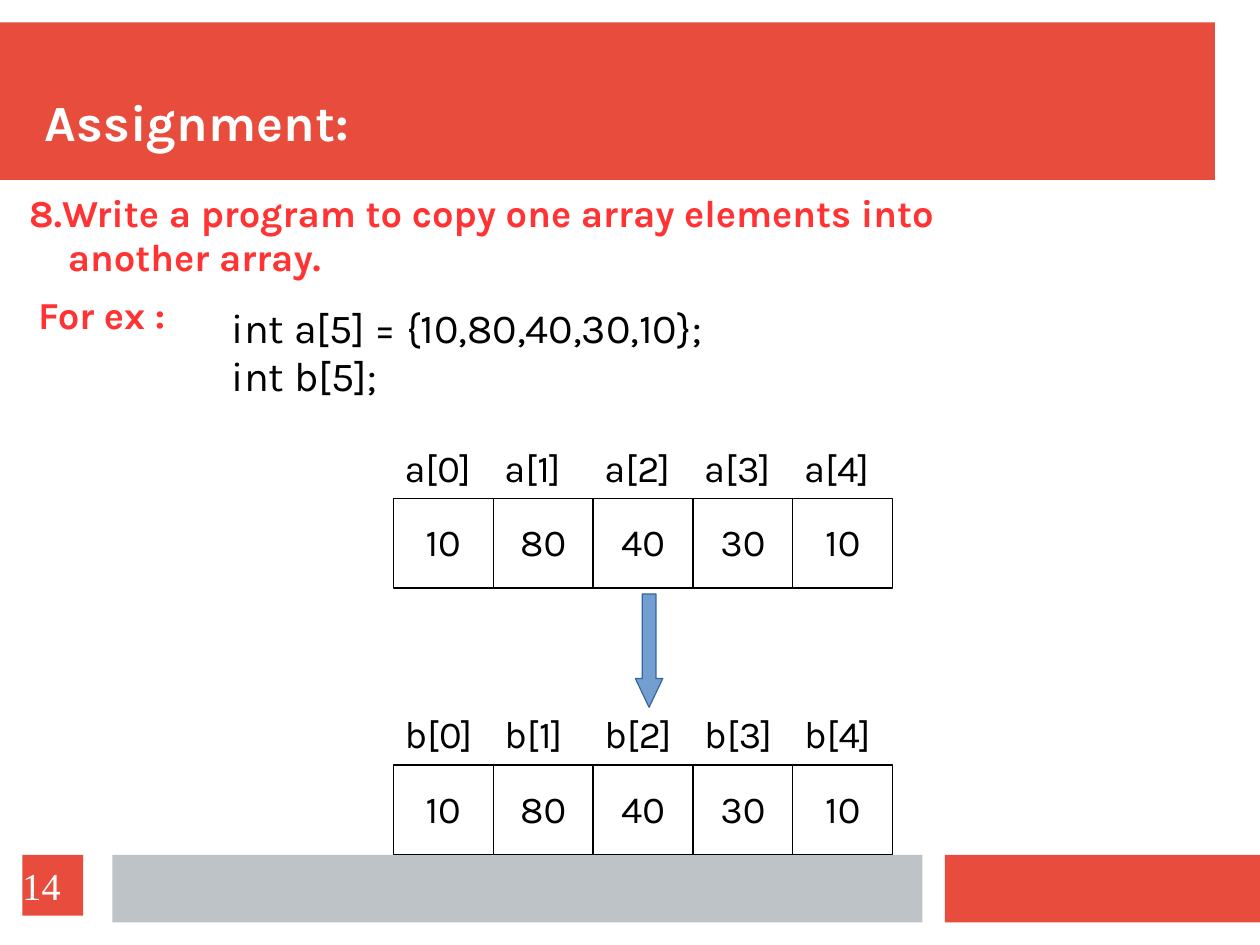
from pptx import Presentation
from pptx.dml.color import RGBColor
from pptx.enum.shapes import MSO_SHAPE as SHAPE
from pptx.enum.text import MSO_ANCHOR as ANCHOR, MSO_AUTO_SIZE as AUTO, PP_ALIGN as ALIGN
from pptx.util import Cm, Pt

COLS, ROWS = 28, 21
RED, GREY, WHITE, BLACK = "E74C3C", "BDC3C7", "FFFFFF", "000000"
QUESTION_RED = "FF3333"
CELL_W, CELL_H, LABEL_H = 2.22, 2, 1.27
ARRAY_LEFT = 8.74
VALUES = [10, 80, 40, 30, 10]


def rgb(color):
    return RGBColor.from_string(color)


def grid(*units):
    return [Cm(u) for u in units]


def write(sp, text, size=24, color=BLACK, bold=False, font="Karla",
          align=ALIGN.LEFT, anchor=ANCHOR.TOP, inset=(0.1, 0.05), spacing=0.97):
    tf = sp.text_frame
    tf.text = text
    tf.auto_size = AUTO.NONE
    tf.word_wrap = True
    tf.vertical_anchor = anchor
    tf.margin_left = tf.margin_right = Pt(inset[0] * 72)
    tf.margin_top = tf.margin_bottom = Pt(inset[1] * 72)
    for p in tf.paragraphs:
        p.alignment = align
        p.line_spacing = spacing
        p.space_before = Pt(0)
        for r in p.runs:
            r.font.size = Pt(size)
            r.font.name = font
            r.font.bold = bold
            r.font.color.rgb = rgb(color)
    return tf


def add_block(slide, box, fill, line=None, kind=SHAPE.RECTANGLE):
    sp = slide.shapes.add_shape(kind, *grid(*box))
    sp.shadow.inherit = False
    sp.fill.solid()
    sp.fill.fore_color.rgb = rgb(fill)
    if line:
        sp.line.color.rgb = rgb(line)
        sp.line.width = Pt(0.75)
    else:
        sp.line.fill.background()
    return sp


def add_text(slide, box, text, **style):
    return write(slide.shapes.add_textbox(*grid(*box)), text, **style)


def add_title(slide, box, text):
    title = slide.shapes.title
    title.left, title.top, title.width, title.height = grid(*box)
    write(title, text, size=32, color=WHITE, bold=True,
          anchor=ANCHOR.BOTTOM, inset=(0, 0))
    slide.shapes._spTree.append(title._element)


def add_array(slide, name, top):
    for i, value in enumerate(VALUES):
        left = ARRAY_LEFT + i * CELL_W
        cell = add_block(slide, (left, top, CELL_W, CELL_H), WHITE, BLACK)
        write(cell, str(value), align=ALIGN.CENTER, anchor=ANCHOR.MIDDLE)
        add_text(slide, (left, top - LABEL_H, CELL_W, LABEL_H), f"{name}[{i}]")


def main():
    prs = Presentation()
    prs.slide_width, prs.slide_height = grid(COLS, ROWS)
    slide = prs.slides.add_slide(prs.slide_layouts[5])

    add_block(slide, (0, 0.5, 27, 3.5), RED)
    add_block(slide, (21, 19, 7, 1.5), RED)
    add_block(slide, (2.5, 19, 18, 1.5), GREY)
    add_title(slide, (1, 1, 25.9, 2.4), "Assignment:")

    add_array(slide, "a", 11.07)
    question = add_text(
        slide, (0.4, 4.14, 24.3, 2.26),
        "8.Write a program to copy one array elements into\nanother array.",
        color=QUESTION_RED, bold=True)
    question.paragraphs[1]._p.get_or_add_pPr().set("marL", str(Cm(0.86)))
    add_text(slide, (0.6, 6.4, 4.4, 1.27), "For ex :", color=QUESTION_RED, bold=True)
    add_array(slide, "b", 17)

    arrow = add_block(slide, (14.12, 13.2, 0.61, 2.52), "729FCF", "3465A4", SHAPE.DOWN_ARROW)
    arrow.adjustments[0], arrow.adjustments[1] = 0.5, 1.05
    add_text(slide, (4.9, 6.65, 13.7, 2.41),
             "int a[5] = {10,80,40,30,10};\nint b[5];", size=26)
    number = add_block(slide, (0.5, 19, 1.35, 1.35), RED)
    write(number, "14", color=WHITE, font="Times New Roman",
          anchor=ANCHOR.MIDDLE, inset=(0, 0), spacing=1.0)

    prs.save("out.pptx")


if __name__ == "__main__":
    main()
